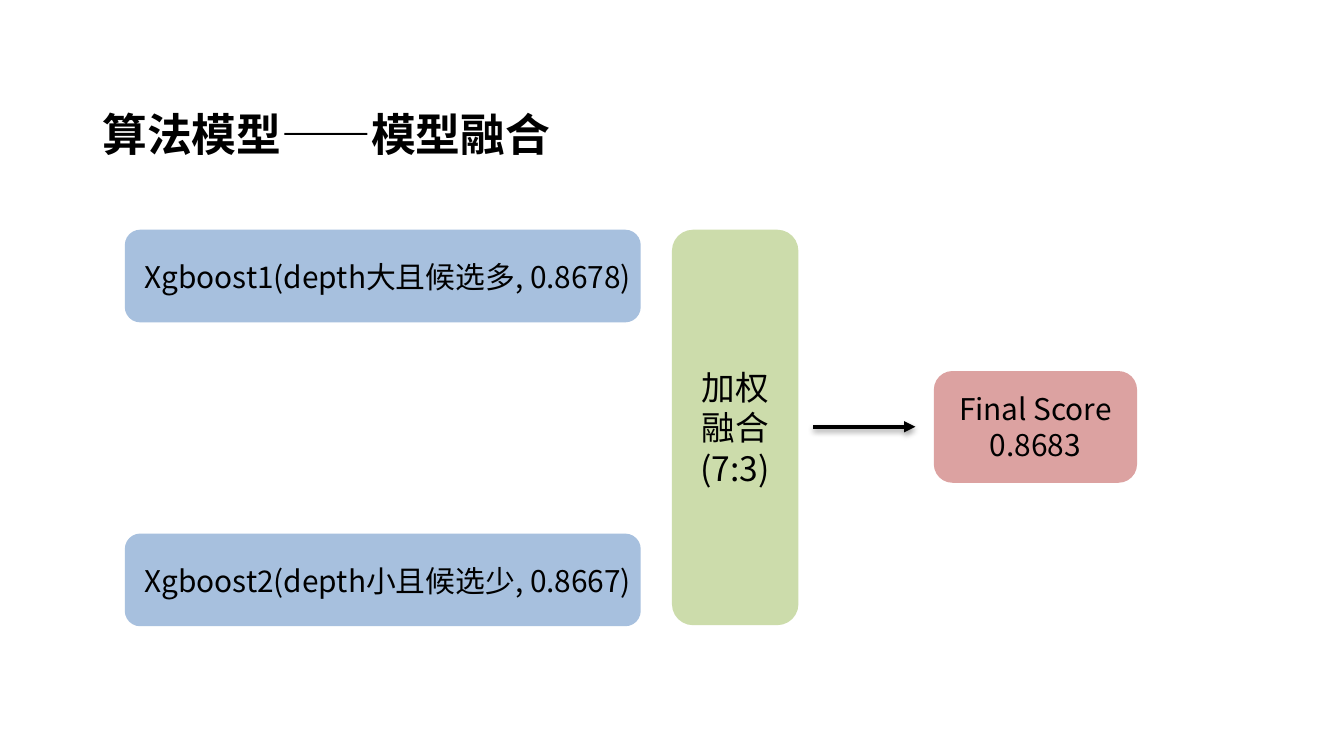
import pptx
import pptx.dml.color
import pptx.enum.shapes
import pptx.enum.text
import pptx.oxml
import pptx.oxml.ns
import pptx.util
from pptx.util import Cm

FONT = "Noto Sans CJK SC"
COLORS = {"text": "000000", "model": "A7C0DE", "blend": "9BBB59", "score": "DCA2A1"}
ANCHOR = pptx.enum.text.MSO_ANCHOR
ALIGN = pptx.enum.text.PP_ALIGN


def write(shape, lines, size, align=ALIGN.CENTER, anchor=ANCHOR.MIDDLE, bold=False):
    frame = shape.text_frame
    frame_format = {
        "word_wrap": True,
        "auto_size": pptx.enum.text.MSO_AUTO_SIZE.NONE,
        "vertical_anchor": anchor,
    }
    for name, value in frame_format.items():
        setattr(frame, name, value)
    font_format = {"name": FONT, "size": pptx.util.Pt(size), "bold": bold}
    for index, line in enumerate(lines):
        para = frame.add_paragraph() if index else frame.paragraphs[0]
        para.alignment = align
        span = para.add_run()
        span.text = line
        for name, value in font_format.items():
            setattr(span.font, name, value)
        span.font.color.rgb = pptx.dml.color.RGBColor.from_string(COLORS["text"])
        east_asian = pptx.oxml.parse_xml(
            f'<a:ea {pptx.oxml.ns.nsdecls("a")} typeface="{FONT}"/>')
        span.font._element.find(pptx.oxml.ns.qn("a:latin")).addnext(east_asian)


def add_box(left, top, width, height, color):
    box = slide.shapes.add_shape(
        pptx.enum.shapes.MSO_SHAPE.ROUNDED_RECTANGLE,
        Cm(left), Cm(top), Cm(width), Cm(height))
    box.shadow.inherit = False
    box.fill.solid()
    box.fill.fore_color.rgb = pptx.dml.color.RGBColor.from_string(COLORS[color])
    box.line.fill.background()
    return box


deck = pptx.Presentation()
deck.slide_width, deck.slide_height = Cm(25.4), Cm(14.28)
slide = deck.slides.add_slide(deck.slide_layouts[5])

title = slide.shapes.title
title_place = {"left": Cm(1.68), "top": Cm(1.88), "width": Cm(18.44), "height": Cm(1.27)}
for name, value in title_place.items():
    setattr(title, name, value)
write(title, ["算法模型——模型融合"], 24, ALIGN.LEFT, ANCHOR.TOP, True)

# The two models being blended
models = [
    (4.34, "Xgboost1(depth大且候选多, 0.8678)"),
    (10.08, "Xgboost2(depth小且候选少, 0.8667)"),
]
for top, caption in models:
    add_box(2.36, top, 9.75, 1.75, "model")
    label = slide.shapes.add_textbox(Cm(1.88), Cm(top + 0.43), Cm(10.9), Cm(0.91))
    write(label, [caption], 16, anchor=ANCHOR.TOP)

# Weighted blend, half transparent
blend = add_box(12.7, 4.34, 2.39, 7.47, "blend")
blend_color = blend._element.spPr.find(
    pptx.oxml.ns.qn("a:solidFill")).find(pptx.oxml.ns.qn("a:srgbClr"))
blend_color.append(pptx.oxml.parse_xml(
    f'<a:alpha {pptx.oxml.ns.nsdecls("a")} val="50000"/>'))
write(blend, ["加权融合", "(7:3)"], 18)

score = add_box(17.65, 7.01, 3.84, 2.11, "score")
write(score, ["Final Score", "0.8683"], 16)

arrow = slide.shapes.add_connector(
    pptx.enum.shapes.MSO_CONNECTOR.STRAIGHT, Cm(15.37), Cm(8.06), Cm(17.3), Cm(8.06))
arrow.line.width = pptx.util.Pt(2)
arrow.line.color.rgb = pptx.dml.color.RGBColor.from_string(COLORS["text"])
arrow.line._get_or_add_ln().append(pptx.oxml.parse_xml(
    f'<a:tailEnd {pptx.oxml.ns.nsdecls("a")} type="triangle"/>'))
arrow._element.spPr.append(pptx.oxml.parse_xml(
    f'<a:effectLst {pptx.oxml.ns.nsdecls("a")}>'
    '<a:outerShdw blurRad="40000" dist="20000" dir="5400000" rotWithShape="0">'
    '<a:srgbClr val="000000"><a:alpha val="38000"/></a:srgbClr>'
    '</a:outerShdw></a:effectLst>'))

deck.save("out.pptx")
